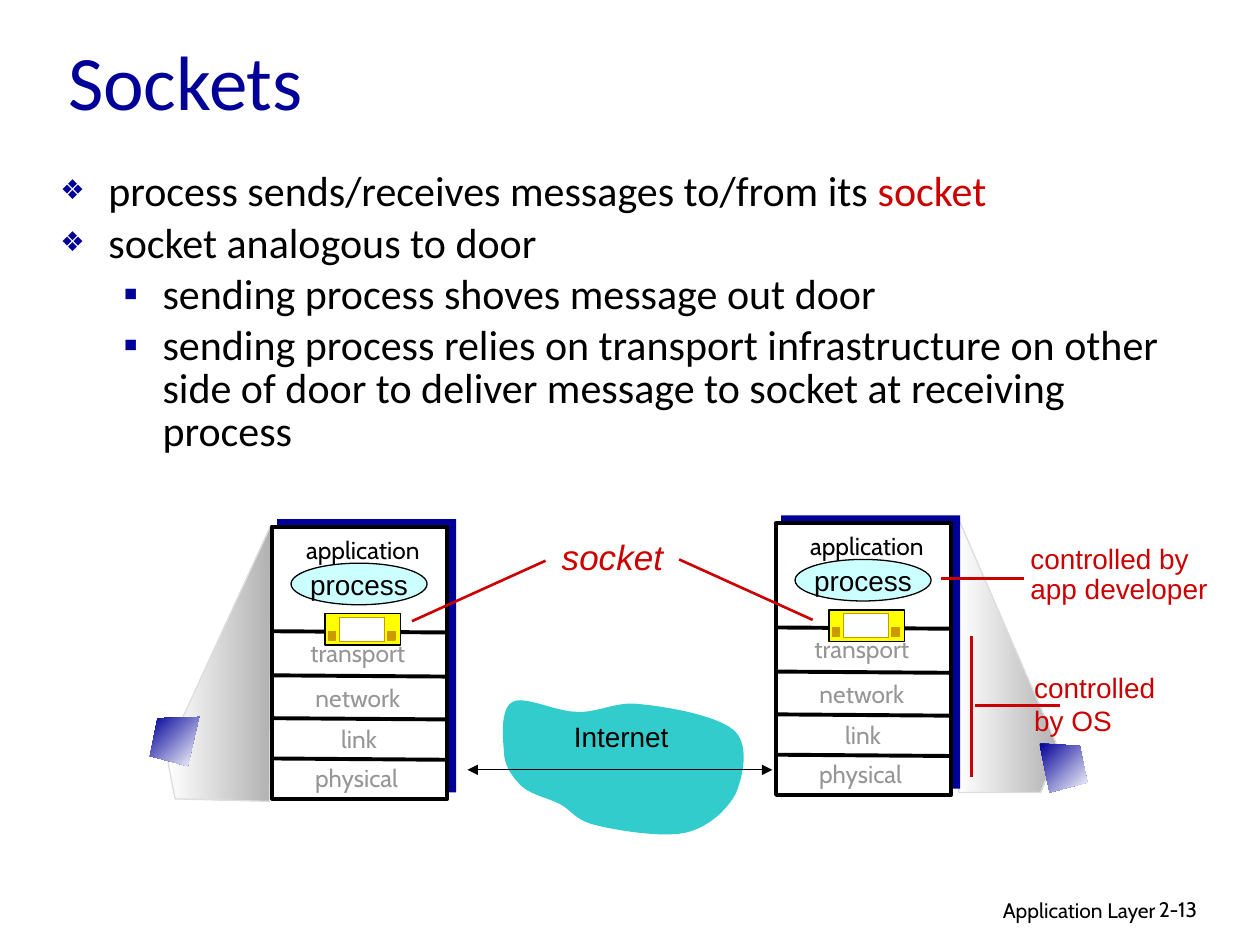
"""Builds the "Sockets" slide: two hosts whose processes talk through sockets over the Internet."""
from dataclasses import dataclass

from lxml.etree import SubElement
from pptx import Presentation
from pptx.dml.color import RGBColor
from pptx.enum.shapes import MSO_CONNECTOR as Connector, MSO_SHAPE as Shape
from pptx.enum.text import MSO_ANCHOR as Anchor, MSO_AUTO_SIZE as AutoSize, PP_ALIGN as Align
from pptx.oxml.ns import qn
from pptx.util import Inches, Pt


@dataclass(frozen=True)
class Theme:
    navy: str = "000099"
    red: str = "CC0000"
    black: str = "000000"
    white: str = "FFFFFF"
    muted: str = "969696"
    silver: str = "B2B2B2"
    edge: str = "DDDDDD"
    teal: str = "33CCCC"
    ice: str = "CCFFFF"
    yellow: str = "FFFF00"
    gold: str = "CC9900"
    heading: str = "Calibri"
    drawing: str = "Arial"
    caption: str = "Cabin"
    title: int = 44
    body: int = 24
    callout: int = 20
    label: int = 16
    layer: int = 14
    footer: int = 12
    thin: float = 0.75
    medium: float = 1.5
    thick: float = 2.25


THEME = Theme()
COLUMNS, ROWS = 100, 75
CELL = Inches(10) / COLUMNS

TITLE = "Sockets"
BULLETS = [
    (0, [("process sends/receives messages to/from its ", THEME.black), ("socket", THEME.red)]),
    (0, [("socket analogous to door", THEME.black)]),
    (1, [("sending process shoves message out door", THEME.black)]),
    (1, [("sending process relies on transport infrastructure on other side of door "
          "to deliver message to socket at receiving process", THEME.black)]),
]
BULLET_STYLES = [("❖", 65, 0.38, -0.38), ("▪", 100, 0.81, -0.31)]
FOOTERS = [("Application Layer", (61, 70.7, 31.7, 3.1), Align.RIGHT),
           ("2-13", (91, 70.7, 7.4, 3), Align.LEFT)]

HOSTS = [(21.6, 41.8), (61.6, 41.5)]
HOST_SIZE = (13.9, 21.6)
LAYERS = [("application", 0, -0.1, THEME.black), ("transport", -0.4, 8.1, THEME.muted),
          ("network", -0.4, 11.7, THEME.muted), ("link", -0.3, 14.9, THEME.muted),
          ("physical", -0.5, 18, THEME.muted)]
DIVIDERS = [8.3, 11.8, 15.2, 18.4]
SOCKET_PARTS = [((4.2, 6.9, 6, 2.5), THEME.yellow, THEME.black),
                ((5.35, 7.2, 3.6, 1.9), THEME.white, THEME.gold),
                ((9.15, 8.3, 0.6, 0.7), THEME.gold, THEME.gold),
                ((4.45, 8.3, 0.6, 0.7), THEME.gold, THEME.gold)]

RIGHT_BEAM = [(84, 59.4), (76, 41), (76.1, 62.9), (82.6, 62.9)]
LEFT_BEAM = [(13.2, 59.8), (21.5, 41.7), (21.4, 63.6), (13.9, 63.4)]
ENDPOINTS = [[(15.8, 56.9), (12.5, 57), (11.9, 60), (14.9, 60.8)],
             [(82.5, 59), (85.7, 59.2), (86.3, 62.1), (83.3, 62.9)]]
CLOUD_START = (40, 59.6)
CLOUD_CURVES = [
    ((39.9, 58.5), (39.7, 56.2), (40.7, 55.7)), ((41.7, 55.2), (44.1, 56.5), (45.8, 56.5)),
    ((47.5, 56.6), (48.9, 55.6), (50.9, 55.9)), ((53, 56.1), (57, 56.8), (58.3, 58)),
    ((59.5, 59.1), (59, 61.6), (58.4, 63)), ((57.7, 64.3), (56.2, 65.7), (54.4, 66.1)),
    ((52.5, 66.5), (48.9, 65.9), (47.3, 65.5)), ((45.6, 65.1), (45.4, 64.3), (44.4, 63.8)),
    ((43.4, 63.3), (42.2, 63.1), (41.4, 62.4)), ((40.7, 61.7), (40, 60.8), CLOUD_START),
]
CALLOUTS = [(["controlled", "by OS"], (81.1, 52.7, 11.6, 9), THEME.label, 1, False),
            (["controlled by", "app developer"], (80.8, 42.8, 16.3, 5.8), THEME.label, 0.9, False),
            (["socket"], (43.6, 42.4, 10.8, 4), THEME.callout, 0.9, True)]
POINTERS = [((81.3, 45.9), (74.7, 45.9)), ((77.1, 50.5), (77.1, 61.7)),
            ((84.1, 56), (77.4, 56)), ((32.7, 49.3), (43.3, 44.5)),
            ((64.5, 49.2), (53.9, 44.4))]


def cells(*values):
    return [round(value * CELL) for value in values]


def shifted(origin, box):
    return (origin[0] + box[0], origin[1] + box[1], *box[2:])


def rgb(color):
    return RGBColor.from_string(color)


def add_run(paragraph, text, font, size, color, italic=False):
    run = paragraph.add_run()
    run.text = text
    run.font.name, run.font.size, run.font.italic = font, Pt(size), italic
    run.font.color.rgb = rgb(color)


def write(frame, lines, font, size, color, align=Align.LEFT, spacing=1, italic=False):
    for index, text in enumerate(lines):
        paragraph = frame.add_paragraph() if index else frame.paragraphs[0]
        paragraph.alignment, paragraph.line_spacing = align, spacing
        add_run(paragraph, text, font, size, color, italic)


def add_text(slide, box, lines, *style, wrap=True, **options):
    frame = slide.shapes.add_textbox(*cells(*box)).text_frame
    frame.word_wrap = wrap
    frame.auto_size = AutoSize.NONE if wrap else AutoSize.SHAPE_TO_FIT_TEXT
    write(frame, lines, *style, **options)


def paint(shape, fill, line=None, width=THEME.thin):
    shape.shadow.inherit = False
    if isinstance(fill, tuple):
        *colors, angle = fill
        shape.fill.gradient()
        shape.fill.gradient_angle = angle
        for stop, color in zip(shape.fill.gradient_stops, colors):
            stop.color.rgb = rgb(color)
    else:
        shape.fill.solid()
        shape.fill.fore_color.rgb = rgb(fill)
    if line:
        shape.line.color.rgb, shape.line.width = rgb(line), Pt(width)
    else:
        shape.line.fill.background()


def add_box(slide, kind, box, *style):
    shape = slide.shapes.add_shape(kind, *cells(*box))
    paint(shape, *style)
    return shape


def add_outline(slide, points, *style):
    start, *others = [cells(*point) for point in points]
    builder = slide.shapes.build_freeform(*start)
    builder.add_line_segments(others, close=True)
    paint(builder.convert_to_shape(), *style)


def add_line(slide, start, end, color, width, arrows=False):
    line = slide.shapes.add_connector(Connector.STRAIGHT, *cells(*start, *end))
    line.line.color.rgb, line.line.width = rgb(color), Pt(width)
    if arrows:
        for tag in ("a:headEnd", "a:tailEnd"):
            SubElement(line.line._get_or_add_ln(), qn(tag), type="triangle")
    SubElement(line._element.spPr, qn("a:effectLst"))


def curve_points(start, curves, steps=10):
    points = [start]
    for first, second, end in curves:
        begin = points[-1]
        for step in range(1, steps + 1):
            t = step / steps
            weights = ((1 - t) ** 3, 3 * t * (1 - t) ** 2, 3 * t * t * (1 - t), t ** 3)
            points.append(tuple(sum(w * p[axis] for w, p in zip(weights, (begin, first, second, end)))
                                for axis in (0, 1)))
    return points


def place(placeholder, box):
    placeholder.left, placeholder.top, placeholder.width, placeholder.height = cells(*box)
    frame = placeholder.text_frame
    frame.word_wrap, frame.auto_size = True, AutoSize.NONE
    return frame


def add_bullets(frame):
    for index, (level, runs) in enumerate(BULLETS):
        paragraph = frame.add_paragraph() if index else frame.paragraphs[0]
        paragraph.level = level
        mark, percent, margin, indent = BULLET_STYLES[level]
        properties = paragraph._p.get_or_add_pPr()
        properties.set("marL", str(Inches(margin)))
        properties.set("indent", str(Inches(indent)))
        SubElement(SubElement(properties, qn("a:buClr")), qn("a:srgbClr"), val=THEME.navy)
        SubElement(properties, qn("a:buSzPct"), val=str(percent * 1000))
        SubElement(properties, qn("a:buChar"), char=mark)
        paragraph.line_spacing = 0.85
        paragraph.space_before = Pt(0.2 * THEME.body if index else 0)
        for text, color in runs:
            add_run(paragraph, text, THEME.heading, THEME.body, color)


def add_host(slide, origin):
    add_box(slide, Shape.RECTANGLE, shifted(origin, (0.4, -0.6, 14.2, 21.7)), THEME.navy)
    add_box(slide, Shape.RECTANGLE, (*origin, *HOST_SIZE), THEME.white, THEME.black, THEME.thick)
    for row in DIVIDERS:
        add_line(slide, shifted(origin, (0.1, row)), shifted(origin, (HOST_SIZE[0], row + 0.1)),
                 THEME.black, THEME.thick)
    for text, column, row, color in LAYERS:
        add_text(slide, shifted(origin, (column, row, 14.4, 3.6)), [text], THEME.caption,
                 THEME.layer, color, align=Align.CENTER, spacing=1.1)
    process = add_box(slide, Shape.OVAL, shifted(origin, (1.5, 2.9, 10.8, 3.3)),
                      THEME.ice, THEME.black)
    process.text_frame.word_wrap = False
    process.text_frame.vertical_anchor = Anchor.MIDDLE
    write(process.text_frame, ["process"], THEME.drawing, THEME.label, THEME.black, Align.CENTER)
    for box, fill, line in SOCKET_PARTS:
        add_box(slide, Shape.RECTANGLE, shifted(origin, box), fill, line)


def main():
    presentation = Presentation()
    presentation.slide_width, presentation.slide_height = cells(COLUMNS, ROWS)
    slide = presentation.slides.add_slide(presentation.slide_layouts[1])
    title = place(slide.shapes.title, (4.4, 1.4, 88.3, 9.8))
    title.vertical_anchor = Anchor.MIDDLE
    write(title, [TITLE], THEME.heading, THEME.title, THEME.navy)
    add_bullets(place(slide.placeholders[1], (3.8, 13.2, 90, 25.5)))
    for text, box, align in FOOTERS:
        add_text(slide, box, [text], THEME.caption, THEME.footer, THEME.black, align=align)

    for beam in (RIGHT_BEAM, LEFT_BEAM):
        add_outline(slide, beam, (THEME.white, THEME.silver, 0), THEME.edge)
    add_outline(slide, curve_points(CLOUD_START, CLOUD_CURVES), THEME.teal)
    add_text(slide, (44.5, 56.6, 9.6, 3.7), ["Internet"], THEME.drawing, THEME.label,
             THEME.black, align=Align.CENTER, wrap=False)
    add_line(slide, (37.1, 61.1), (61.3, 61.1), THEME.black, THEME.thin, arrows=True)
    for origin in HOSTS:
        add_host(slide, origin)
    for lines, box, size, spacing, italic in CALLOUTS:
        add_text(slide, box, lines, THEME.drawing, size, THEME.red, spacing=spacing,
                 italic=italic, wrap=False)
    for start, end in POINTERS:
        add_line(slide, start, end, THEME.red, THEME.medium)
    for endpoint in ENDPOINTS:
        add_outline(slide, endpoint, (THEME.navy, THEME.white, 315))
    presentation.save("out.pptx")


if __name__ == "__main__":
    main()
